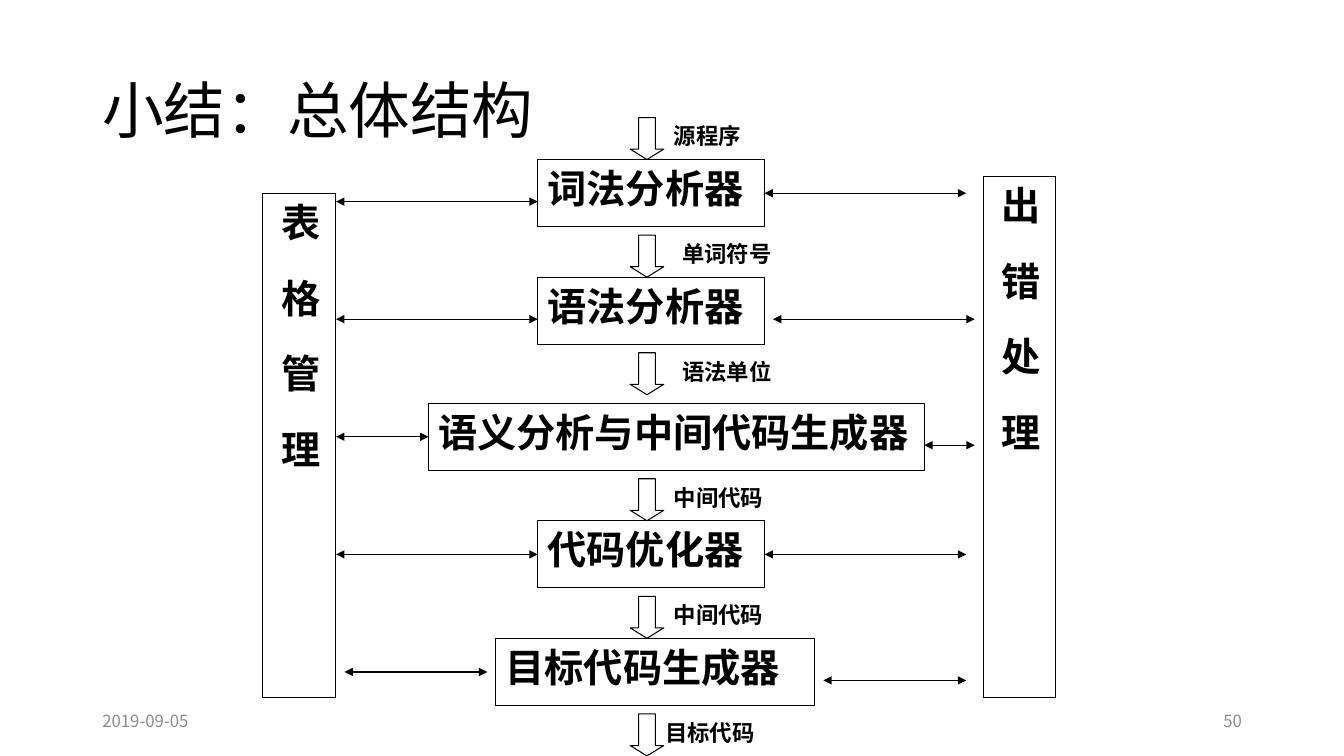
from pptx import Presentation
from pptx import util as u
from pptx.dml.color import RGBColor
from pptx.enum import shapes, text
from pptx.oxml.ns import qn
from lxml import etree

BLACK = RGBColor(0x00, 0x00, 0x00)
GRAY = RGBColor(0x8C, 0x8C, 0x8C)
SANS = "Noto Sans CJK SC"
SERIF = "Times New Roman"

deck = Presentation()
deck.slide_width, deck.slide_height = u.Inches(13.33), u.Inches(7.5)
page = deck.slides.add_slide(deck.slide_layouts[6])
CELL = deck.slide_height / 90

TITLE = {"size": u.Pt(44), "name": SANS}
FOOTER = {"size": u.Pt(12), "name": SANS}
STAGE = {"size": u.Pt(28), "name": SERIF, "bold": True}
LABEL = {"size": u.Pt(16), "name": SERIF, "bold": True}
PILLAR = {"size": u.Pt(28), "name": SANS, "bold": True}


def add_box(kind, left, top, width, height):
    place = [round(n * CELL) for n in (left, top, width, height)]
    if kind is None:
        return page.shapes.add_textbox(*place)
    box = page.shapes.add_shape(kind, *place)
    box.shadow.inherit = False
    box.fill.background()
    box.line.color.rgb = BLACK
    box.line.width = u.Pt(0.75)
    return box


def write(box, words, style, color=BLACK, anchor=text.MSO_ANCHOR.TOP, align=text.PP_ALIGN.LEFT):
    frame = box.text_frame
    frame.word_wrap = True
    frame.vertical_anchor = anchor
    para = frame.paragraphs[0]
    para.alignment = align
    span = para.add_run()
    span.text = words
    for key, value in style.items():
        setattr(span.font, key, value)
    span.font.color.rgb = color
    etree.SubElement(span.font._element, qn("a:ea"), typeface=SANS)
    return span


MIDDLE = text.MSO_ANCHOR.MIDDLE
title = add_box(None, 11, 4.8, 138, 17.4)
write(title, "小结：总体结构", TITLE, anchor=MIDDLE).font.bold = False
title.text_frame.paragraphs[0].line_spacing = 0.9
for left, words, align in [(11, "2019-09-05", text.PP_ALIGN.LEFT), (113, "50", text.PP_ALIGN.RIGHT)]:
    write(add_box(None, left, 83.4, 36, 4.8), words, FOOTER, GRAY, MIDDLE, align)

for left, top, height, words in [(31.3, 23, 60, "表格管理"), (117, 21, 62, "出错处理")]:
    pillar = add_box(shapes.MSO_SHAPE.RECTANGLE, left, top, 8.64, height)
    span = write(pillar, words, PILLAR, anchor=MIDDLE)
    span.font._element.set("spc", "2600")
    pillar.text_frame._txBody.bodyPr.set("vert", "eaVert")

stages = [
    ("词法分析器", 64, 19, 27),
    ("语法分析器", 64, 33, 27),
    ("语义分析与中间代码生成器", 51, 48, 59),
    ("代码优化器", 64, 62, 27),
    ("目标代码生成器", 59, 76, 38),
]
for words, left, top, width in stages:
    write(add_box(shapes.MSO_SHAPE.RECTANGLE, left, top, width, 8), words, STAGE)

flows = [
    ("源程序", 79, 14),
    ("单词符号", 80, 28),
    ("语法单位", 80, 42),
    ("中间代码", 79, 57),
    ("中间代码", 79, 71),
    ("目标代码", 78, 85),
]
for words, left, top in flows:
    arrow = add_box(shapes.MSO_SHAPE.DOWN_ARROW, 75, top, 4, 5)
    arrow.adjustments[0], arrow.adjustments[1] = 0.5, 0.31
    write(add_box(None, left, top, 16, 4), words, LABEL)

links = [
    (40, 64, 24), (40, 64, 38), (40, 51, 52), (40, 64, 66), (41, 58, 80),
    (91, 115, 23), (92, 116, 38), (110, 116, 53), (91, 115, 66), (98, 115, 81),
]
for start, end, row in links:
    ends = [round(n * CELL) for n in (start, row, end, row)]
    link = page.shapes.add_connector(shapes.MSO_CONNECTOR.STRAIGHT, *ends)
    link.line.color.rgb = BLACK
    link.line.width = u.Pt(0.75)
    for tip in ("a:headEnd", "a:tailEnd"):
        etree.SubElement(link.line._get_or_add_ln(), qn(tip), type="triangle")
    etree.SubElement(link._element.spPr, qn("a:effectLst"))

deck.save("out.pptx")
